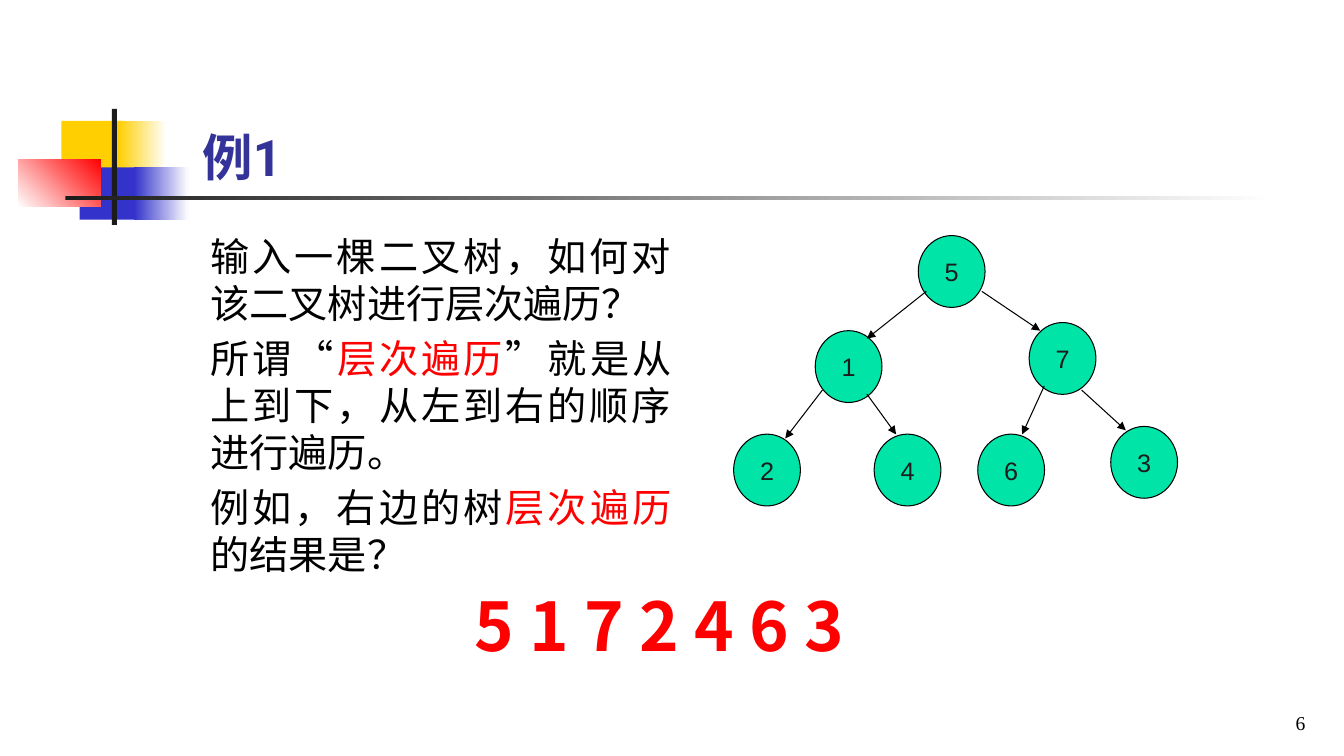
from lxml import etree
from pptx import Presentation
from pptx.dml.color import RGBColor
from pptx.enum.shapes import MSO_CONNECTOR, MSO_SHAPE
from pptx.enum.text import MSO_ANCHOR, PP_ALIGN
from pptx.oxml.ns import qn
from pptx.util import Pt

RECT, OVAL = MSO_SHAPE.RECTANGLE, MSO_SHAPE.OVAL
STRAIGHT = MSO_CONNECTOR.STRAIGHT
TOP, MIDDLE, BOTTOM = MSO_ANCHOR.TOP, MSO_ANCHOR.MIDDLE, MSO_ANCHOR.BOTTOM
LEFT, CENTER, RIGHT, JUSTIFY = PP_ALIGN.LEFT, PP_ALIGN.CENTER, PP_ALIGN.RIGHT, PP_ALIGN.JUSTIFY

THEME = {
    "white": "FFFFFF", "black": "000000", "ink": "1C1C1C", "yellow": "FFCF01",
    "blue": "3333CC", "red": "FF0000", "title": "333399", "node": "00E4A8",
    "title_font": "Roboto", "body_font": "Noto Sans CJK SC",
    "node_font": "Arial", "number_font": "Times New Roman",
    "title_size": 36, "body_size": 28, "answer_size": 48,
    "node_size": 18, "number_size": 14,
    "line_height": 1.2, "para_gap": 0.2, "line_width": 0.75,
}

TITLE = "例1"
PAGE_NUMBER = "6"
ANSWER = "5 1 7 2 4 6 3"
BODY = [
    [("输入一棵二叉树，如何对该二叉树进行层次遍历？", "black")],
    [("所谓“", "black"), ("层次遍历", "red"),
     ("”就是从上到下，从左到右的顺序进行遍历。", "black")],
    [("例如，右边的树", "black"), ("层次遍历", "red"), ("的结果是？", "black")],
]
ORNAMENTS = [
    ((43.9, 86.4, 46.1, 37.4), ("yellow",), 0),
    ((84.2, 86.4, 34.6, 37.4), ("yellow", "white"), 0),
    ((56.9, 119.5, 44.6, 37.4), ("blue",), 0),
    ((95.8, 119.5, 38.9, 37.4), ("blue", "white"), 0),
    ((13.0, 113.8, 59.0, 33.8), ("white", "red"), 45),
    ((79.9, 77.8, 3.6, 82.8), ("ink",), 0),
    ((46.8, 140.0, 864.0, 2.6), ("ink", "white"), 0),
]
NODE_WIDTH, NODE_HEIGHT = 47.7, 51.3
NODES = {
    "5": (655.9, 168.3), "1": (582.3, 236.2), "7": (735.1, 230.4),
    "2": (524.0, 310.1), "4": (624.4, 310.1), "6": (698.4, 310.1),
    "3": (793.4, 304.6),
}
EDGES = [
    ((701.3, 208.1), (743.0, 236.2)),
    ((661.7, 208.1), (619.2, 241.9)),
    ((587.5, 278.6), (560.9, 313.2)),
    ((619.2, 281.5), (640.1, 310.3)),
    ((745.9, 275.8), (730.1, 310.3)),
    ((772.6, 278.6), (804.2, 307.4)),
]


def color(name):
    return RGBColor.from_string(THEME[name])


def pts(values):
    return [Pt(v) for v in values]


def style(r, role, color_name, bold=False):
    r.font.name = THEME[role + "_font"]
    r.font.size = Pt(THEME[role + "_size"])
    r.font.color.rgb = color(color_name)
    r.font.bold = bold
    ea = etree.SubElement(r.font._element, qn("a:ea"))
    ea.set("typeface", THEME[role + "_font"])


def add_text(s, box, paragraphs, role, align, anchor=TOP, bold=False, inset_top=3.6):
    tf = s.shapes.add_textbox(*pts(box)).text_frame
    tf.word_wrap = True
    tf.vertical_anchor = anchor
    tf.margin_top = Pt(inset_top)
    for i, runs in enumerate(paragraphs):
        p = tf.paragraphs[0] if i == 0 else tf.add_paragraph()
        p.alignment = align
        if i:
            p.space_before = Pt(THEME[role + "_size"] * THEME["para_gap"])
        for text, color_name in runs:
            r = p.add_run()
            r.text = text
            style(r, role, color_name, bold)
    return tf


def fix_line_height(tf, size):
    for p in tf.paragraphs:
        p.line_spacing = Pt(size * THEME["line_height"])


def add_ornament(s, box, colors, angle):
    sp = s.shapes.add_shape(RECT, *pts(box))
    sp.shadow.inherit = False
    sp.line.fill.background()
    if len(colors) == 1:
        sp.fill.solid()
        sp.fill.fore_color.rgb = color(colors[0])
        return
    sp.fill.gradient()
    sp.fill.gradient_angle = angle
    for stop, name in zip(sp.fill.gradient_stops, colors):
        stop.color.rgb = color(name)


def add_node(s, label, corner):
    sp = s.shapes.add_shape(OVAL, *pts((*corner, NODE_WIDTH, NODE_HEIGHT)))
    sp.shadow.inherit = False
    sp.fill.solid()
    sp.fill.fore_color.rgb = color("node")
    sp.line.color.rgb = color("black")
    sp.line.width = Pt(THEME["line_width"])
    tf = sp.text_frame
    tf.text = label
    tf.word_wrap = False
    tf.vertical_anchor = MIDDLE
    p = tf.paragraphs[0]
    p.alignment = CENTER
    style(p.runs[0], "node", "ink")


def add_edge(s, start, end):
    c = s.shapes.add_connector(STRAIGHT, *pts((*start, *end)))
    c.line.color.rgb = color("black")
    c.line.width = Pt(THEME["line_width"])
    tail = etree.SubElement(c.line._get_or_add_ln(), qn("a:tailEnd"))
    tail.set("type", "triangle")
    etree.SubElement(c._element.spPr, qn("a:effectLst"))


def main():
    THEME["answer_font"] = THEME["body_font"]
    prs = Presentation()
    prs.slide_width, prs.slide_height = Pt(960), Pt(540)
    s = prs.slides.add_slide(prs.slide_layouts[6])

    for box, colors, angle in ORNAMENTS:
        add_ornament(s, box, colors, angle)
    add_text(s, (137.5, 60.5, 654.5, 76.3), [[(TITLE, "title")]], "title", LEFT, BOTTOM, True)
    add_text(s, (739.4, 491.8, 200.2, 36), [[(PAGE_NUMBER, "black")]], "number", RIGHT, BOTTOM)
    tf = add_text(s, (143.3, 159.8, 343.4, 259.9), BODY, "body", JUSTIFY, inset_top=6.1)
    fix_line_height(tf, THEME["body_size"])
    for label, corner in NODES.items():
        add_node(s, label, corner)
    for start, end in EDGES:
        add_edge(s, start, end)
    tf = add_text(s, (251.3, 409.7, 439.2, 62.6), [[(ANSWER, "red")]], "answer", CENTER,
                  bold=True, inset_top=7.9)
    fix_line_height(tf, THEME["answer_size"])

    prs.save("out.pptx")


if __name__ == "__main__":
    main()
